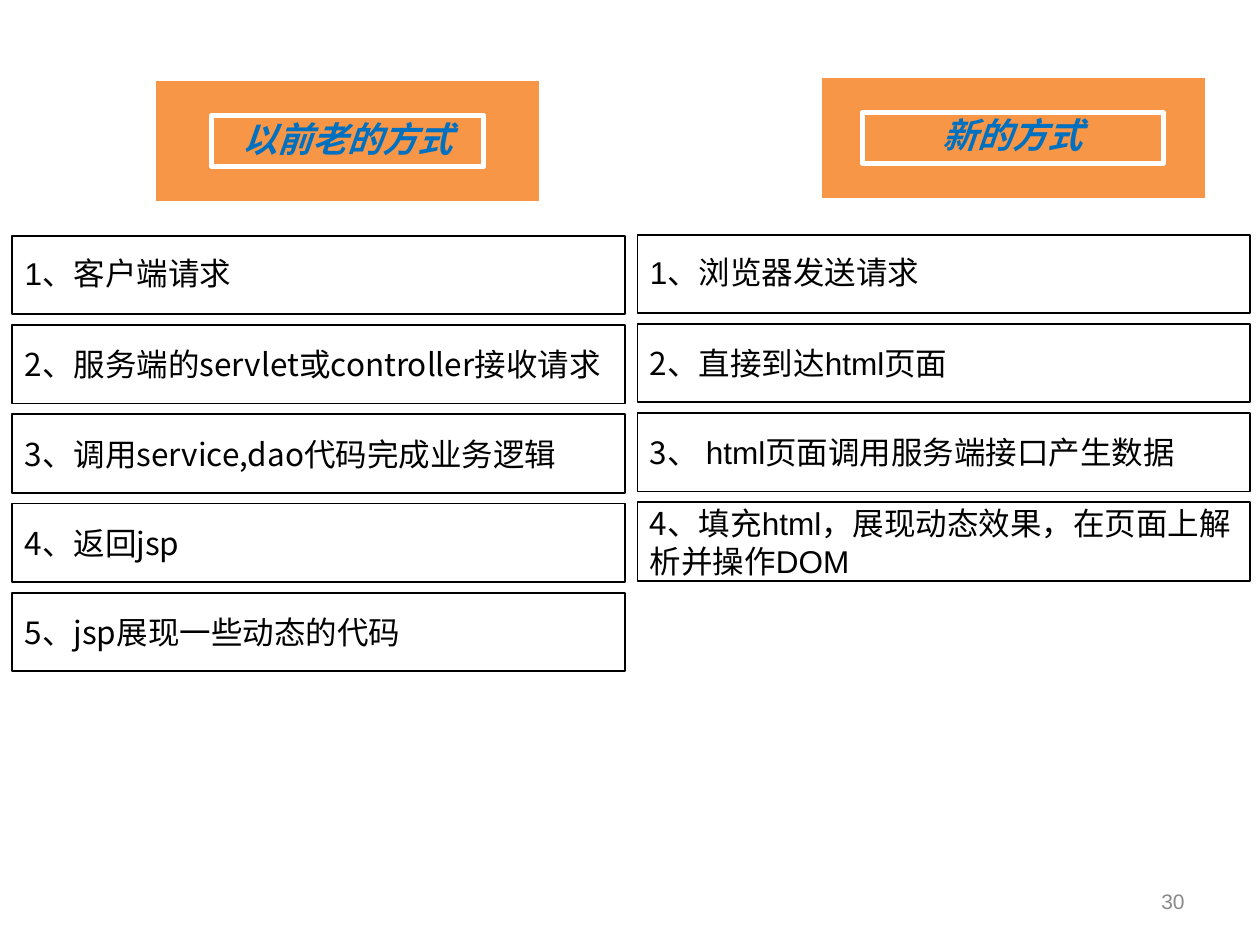
from pptx import Presentation
from pptx.dml.color import RGBColor
from pptx.enum.shapes import MSO_SHAPE
from pptx.enum.text import MSO_ANCHOR, PP_ALIGN
from pptx.util import Pt

RECT, ROUNDED = MSO_SHAPE.RECTANGLE, MSO_SHAPE.ROUNDED_RECTANGLE
MIDDLE, TOP = MSO_ANCHOR.MIDDLE, MSO_ANCHOR.TOP
LEFT, CENTER, RIGHT = PP_ALIGN.LEFT, PP_ALIGN.CENTER, PP_ALIGN.RIGHT
SANS, CJK = "Arial", "Noto Sans CJK SC"
ORANGE, WHITE, BLACK, BLUE, GREY = "F79646", "FFFFFF", "000000", "0070C0", "898989"


def rgb(value):
    return RGBColor.from_string(value)


def add_box(kind, x, y, w, h, fill, line, weight):
    s = slide.shapes.add_shape(kind, Pt(x), Pt(y), Pt(w), Pt(h))
    s.shadow.inherit = False
    s.fill.solid()
    s.fill.fore_color.rgb = rgb(fill)
    s.line.color.rgb = rgb(line)
    s.line.width = Pt(weight)
    return s


prs = Presentation()
prs.slide_width, prs.slide_height = Pt(720), Pt(540)
slide = prs.slides.add_slide(prs.slide_layouts[6])

# Slide number
s = slide.shapes.add_textbox(Pt(516), Pt(500.5), Pt(168), Pt(28.75))
tf = s.text_frame
tf.word_wrap = True
tf.vertical_anchor = MIDDLE
tf.text = "30"
p = tf.paragraphs[0]
p.alignment = RIGHT
p.font.size = Pt(12)
p.font.name = SANS
p.font.color.rgb = rgb(GREY)

# Column headings: banner left and top, label left and width
headings = [
    ("以前老的方式", 87.8, 45, 121, 155.5),
    ("新的方式", 468, 43.2, 492.75, 172),
]
for title, x, y, label_x, label_w in headings:
    banner = add_box(ROUNDED, x, y, 222, 71.3, ORANGE, WHITE, 3)
    banner.adjustments[0] = 0
    label = add_box(RECT, label_x, y + 21.1, label_w, 29, ORANGE, WHITE, 3)
    tf = label.text_frame
    tf.word_wrap = True
    tf.margin_left = tf.margin_right = 0
    tf.vertical_anchor = TOP
    tf.text = title
    p = tf.paragraphs[0]
    p.alignment = CENTER
    p.line_spacing = 0.9
    r = p.runs[0]
    r.font.size = Pt(20)
    r.font.name = SANS
    r.font.bold = r.font.italic = True
    r.font.color.rgb = rgb(BLUE)

# Steps: each is a list of (text, font) runs
old_steps = [
    [("1、客户端请求", SANS)],
    [("2、服务端的servlet或controller接收请求", CJK)],
    [("3、调用service,dao代码完成业务逻辑", CJK)],
    [("4、返回jsp", CJK)],
    [("5、jsp展现一些动态的代码", CJK)],
]
new_steps = [
    [("1、浏览器发送请求", SANS)],
    [("2、", CJK), ("直接到达html页面", SANS)],
    [("3、 ", CJK), ("html页面调用服务端接口产生数据", SANS)],
    [("4、", CJK), ("填充html，展现动态效果，在页面上解析并操作DOM", SANS)],
]
for x, y, steps in [(7, 134.8, old_steps), (364.3, 134.1, new_steps)]:
    for i, runs in enumerate(steps):
        s = add_box(RECT, x, y + i * 51, 350.2, 44.8, WHITE, BLACK, 1)
        tf = s.text_frame
        tf.word_wrap = True
        tf.vertical_anchor = MIDDLE
        p = tf.paragraphs[0]
        p.alignment = LEFT
        if i == 0:
            p.line_spacing = 0.9
        for text, font in runs:
            r = p.add_run()
            r.text = text
            r.font.size = Pt(18)
            r.font.name = font
            r.font.color.rgb = rgb(BLACK)

prs.save("out.pptx")
